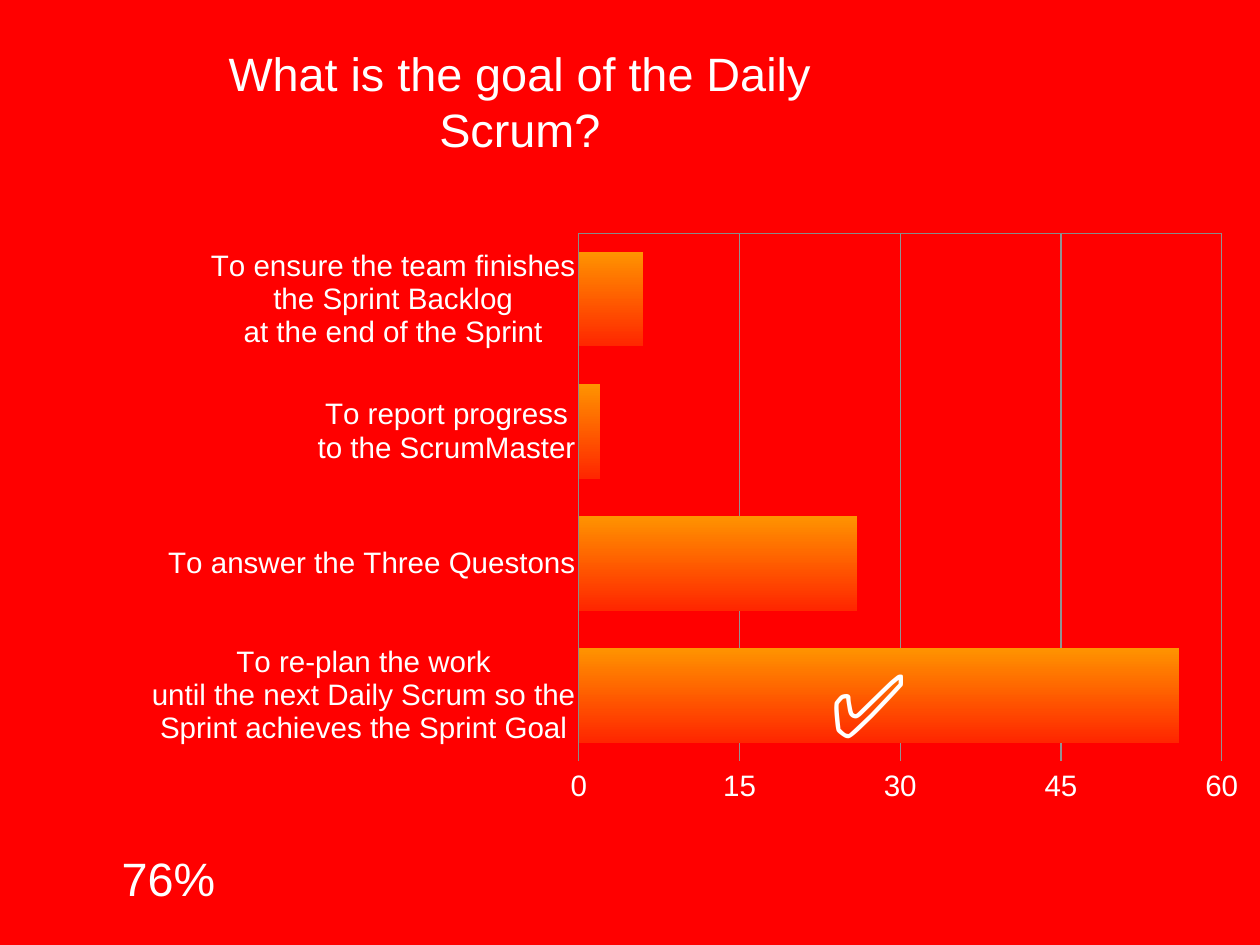
from dataclasses import dataclass

import pptx
import pptx.chart.chart
import pptx.chart.data
import pptx.dml.color
import pptx.enum.chart
import pptx.enum.text
import pptx.oxml
import pptx.oxml.ns
import pptx.slide
import pptx.util
from pptx.util import Cm

RED = pptx.dml.color.RGBColor(0xFF, 0x00, 0x00)
WHITE = pptx.dml.color.RGBColor(0xFF, 0xFF, 0xFF)
AXIS_GREY = pptx.dml.color.RGBColor(0x8A, 0x8B, 0x89)
GRID_GREY = pptx.dml.color.RGBColor(0x92, 0x92, 0x92)
BAR_TOP = pptx.dml.color.RGBColor(0xFF, 0x93, 0x00)
BAR_BOTTOM = pptx.dml.color.RGBColor(0xFF, 0x26, 0x00)
FONT = "Arial"

ANSWERS = {
    "To ensure the team finishes\nthe Sprint Backlog\nat the end of the Sprint": 6,
    "To report progress\nto the ScrumMaster": 2,
    "To answer the Three Questons": 26,
    "To re-plan the work\nuntil the next Daily Scrum so the\nSprint achieves the Sprint Goal": 56,
}
PLOT_AREA = {"x": 0.403, "y": 0.058, "w": 0.581, "h": 0.852}


@dataclass
class Label:
    text: str
    left: float
    top: float
    width: float
    height: float
    size: int
    is_title: bool = False


LABELS = [
    Label("✅", 23.47, 18.31, 2.87, 3.63, 72),
    Label("What is the goal of the Daily Scrum?", 5.38, 1.3, 19.05, 3.2, 38, True),
    Label("76%", 3.33, 24.23, 3, 1.9, 38),
]


def add_label(s: pptx.slide.Slide, label: Label) -> None:
    box = [Cm(v) for v in (label.left, label.top, label.width, label.height)]
    if label.is_title:
        sp = s.shapes.title
        sp.left, sp.top, sp.width, sp.height = box
    else:
        sp = s.shapes.add_textbox(*box)
    tf = sp.text_frame
    tf.word_wrap = label.is_title
    tf.vertical_anchor = pptx.enum.text.MSO_ANCHOR.MIDDLE
    tf.margin_left = tf.margin_right = tf.margin_top = tf.margin_bottom = Cm(0.15)
    p = tf.paragraphs[0]
    p.alignment = pptx.enum.text.PP_ALIGN.CENTER
    r = p.add_run()
    r.text = label.text
    style_font(r.font, label.size)


def style_font(font, size: int) -> None:
    font.name = FONT
    font.size = pptx.util.Pt(size)
    font.color.rgb = WHITE


def style_line(line, color: pptx.dml.color.RGBColor) -> None:
    line.color.rgb = color
    line.width = pptx.util.Pt(1)


def set_plot_area(chart: pptx.chart.chart.Chart) -> None:
    plot_area = chart.element.xpath(".//c:plotArea")[0]
    for old in plot_area.xpath("./c:layout"):
        plot_area.remove(old)
    modes = "".join(f'<c:{k}Mode val="edge"/>' for k in "xy")
    values = "".join(f'<c:{k} val="{v}"/>' for k, v in PLOT_AREA.items())
    plot_area.insert(0, pptx.oxml.parse_xml(
        f'<c:layout {pptx.oxml.ns.nsdecls("c")}><c:manualLayout>'
        f'<c:layoutTarget val="inner"/>{modes}{values}</c:manualLayout></c:layout>'))


def add_answer_chart(s: pptx.slide.Slide) -> None:
    data = pptx.chart.data.CategoryChartData()
    data.categories = list(ANSWERS)
    data.add_series("Series 1", list(ANSWERS.values()))
    chart = s.shapes.add_chart(
        pptx.enum.chart.XL_CHART_TYPE.BAR_CLUSTERED,
        Cm(3.81), Cm(5.66), Cm(31.72), Cm(17.78), data).chart
    chart.has_legend = False
    chart.has_title = False
    style_font(chart.font, 10)
    set_plot_area(chart)

    # Axes
    for axis in (chart.category_axis, chart.value_axis):
        axis.major_tick_mark = pptx.enum.chart.XL_TICK_MARK.NONE
        axis.minor_tick_mark = pptx.enum.chart.XL_TICK_MARK.NONE
        style_font(axis.tick_labels.font, 24)
        style_line(axis.format.line, AXIS_GREY)
    chart.category_axis.reverse_order = True
    values = chart.value_axis
    values.minimum_scale, values.maximum_scale, values.major_unit = 0, 60, 15
    values.tick_label_position = pptx.enum.chart.XL_TICK_LABEL_POSITION.HIGH
    values.has_major_gridlines = True
    style_line(values.major_gridlines.format.line, GRID_GREY)

    # Bars
    plot = chart.plots[0]
    plot.gap_width, plot.overlap = 40, -10
    plot.vary_by_categories = False
    fill = plot.series[0].format.fill
    fill.gradient()
    fill.gradient_angle = 270
    for stop, color, position in zip(fill.gradient_stops, (BAR_TOP, BAR_BOTTOM), (0, 1)):
        stop.color.rgb = color
        stop.position = position


def main() -> None:
    prs = pptx.Presentation()
    prs.slide_width, prs.slide_height = Cm(36.12), Cm(27.1)
    s = prs.slides.add_slide(prs.slide_layouts[5])
    s.background.fill.solid()
    s.background.fill.fore_color.rgb = RED

    # Poll results, then the labels on top
    add_answer_chart(s)
    for label in LABELS:
        add_label(s, label)
    prs.save("out.pptx")


if __name__ == "__main__":
    main()
